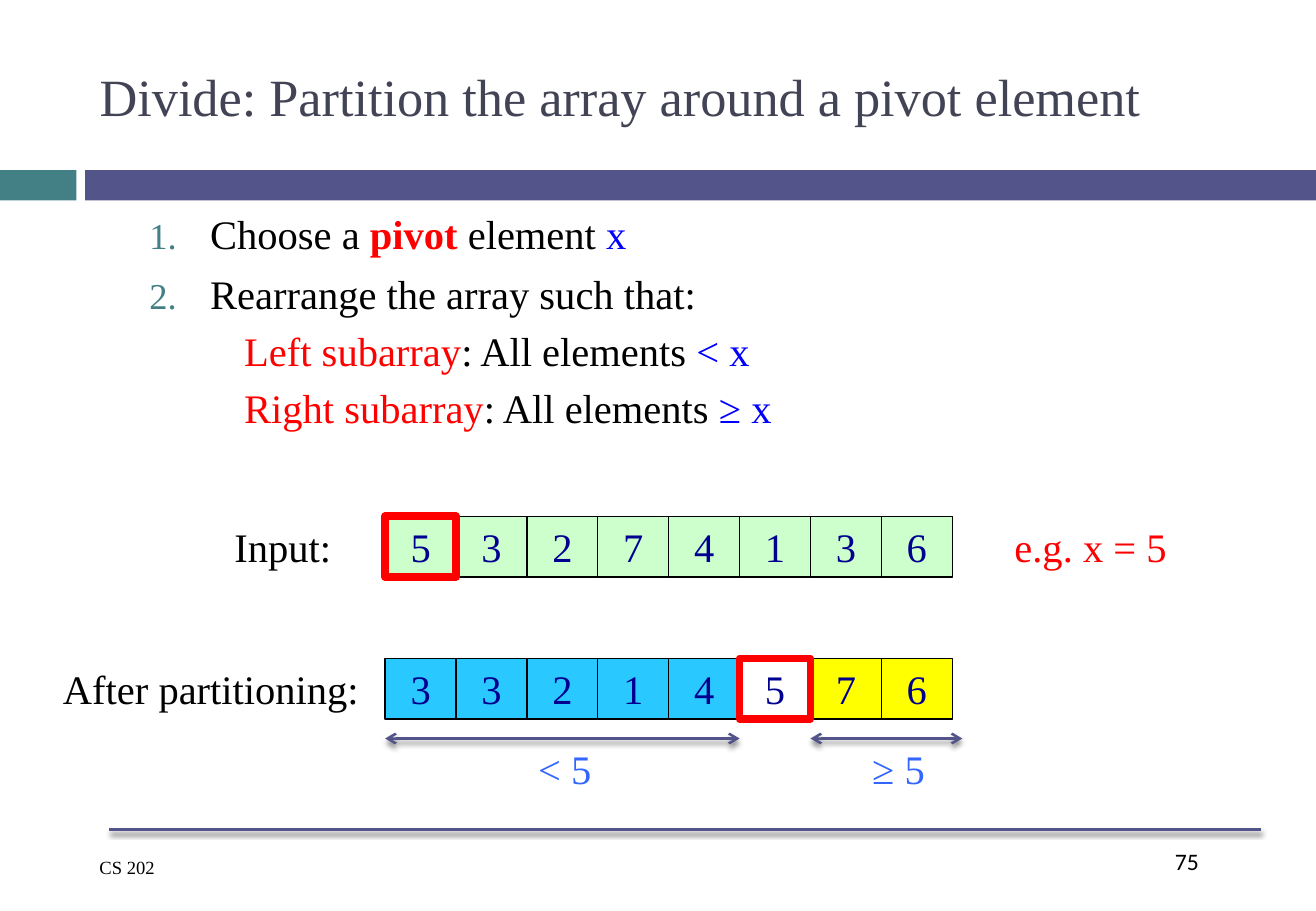
import pptx
import pptx.util
import pptx.dml.color
import pptx.enum.shapes
import pptx.enum.text
import pptx.oxml
import pptx.oxml.ns

Inches = pptx.util.Inches
Pt = pptx.util.Pt
RGBColor = pptx.dml.color.RGBColor
RECT = pptx.enum.shapes.MSO_SHAPE.RECTANGLE
STRAIGHT = pptx.enum.shapes.MSO_CONNECTOR.STRAIGHT
ANCHOR = pptx.enum.text.MSO_ANCHOR
ALIGN = pptx.enum.text.PP_ALIGN
AUTO_SIZE = pptx.enum.text.MSO_AUTO_SIZE

BLACK = RGBColor(0x00, 0x00, 0x00)
WHITE = RGBColor(0xFF, 0xFF, 0xFF)
RED = RGBColor(0xFF, 0x00, 0x00)
BLUE = RGBColor(0x00, 0x00, 0xFF)
RANGE_BLUE = RGBColor(0x33, 0x66, 0xFF)
NAVY = RGBColor(0x00, 0x00, 0x90)
TEAL = RGBColor(0x43, 0x80, 0x86)
PURPLE = RGBColor(0x53, 0x54, 0x8A)
SLATE = RGBColor(0x42, 0x44, 0x56)
GREEN = RGBColor(0xCC, 0xFF, 0xCC)
SKY = RGBColor(0x29, 0xC9, 0xFF)
YELLOW = RGBColor(0xFF, 0xFF, 0x00)

SERIF = "Times New Roman"
CELL_W = 7 / 12
CELL_H = 0.5
NS = pptx.oxml.ns.nsdecls("a")


def add_xml(parent, xml):
    parent.append(pptx.oxml.parse_xml(xml))


def style(p, size, color, name=SERIF):
    p.font.size = Pt(size)
    p.font.name = name
    p.font.color.rgb = color


def place(shape, x, y, w, h):
    shape.left, shape.top = Inches(x), Inches(y)
    shape.width, shape.height = Inches(w), Inches(h)


def add_label(shapes, text, x, y, w, h=0.5, size=24, color=BLACK, name=SERIF):
    tf = shapes.add_textbox(Inches(x), Inches(y), Inches(w), Inches(h)).text_frame
    tf.word_wrap = False
    p = tf.paragraphs[0]
    p.text = text
    style(p, size, color, name)


def add_rect(shapes, x, y, w, h, fill=None, line=None, weight=0.79):
    sp = shapes.add_shape(RECT, Inches(x), Inches(y), Inches(w), Inches(h))
    sp.shadow.inherit = False
    if fill is None:
        sp.fill.background()
    else:
        sp.fill.solid()
        sp.fill.fore_color.rgb = fill
    if line is None:
        sp.line.fill.background()
    else:
        sp.line.color.rgb = line
        sp.line.width = Pt(weight)
    return sp


def add_rule(shapes, x1, x2, y, arrows=False):
    line = shapes.add_connector(STRAIGHT, Inches(x1), Inches(y), Inches(x2), Inches(y))
    line.line.color.rgb = PURPLE
    line.line.width = Pt(1.5)
    if arrows:
        ln = line.line._get_or_add_ln()
        for end in ("headEnd", "tailEnd"):
            add_xml(ln, f'<a:{end} {NS} type="arrow"/>')
    add_xml(
        line._element.spPr,
        f'<a:effectLst {NS}><a:outerShdw blurRad="{Pt(3)}" dist="{Pt(2.4)}" '
        'dir="5400000" rotWithShape="0"><a:srgbClr val="000000">'
        '<a:alpha val="45000"/></a:srgbClr></a:outerShdw></a:effectLst>',
    )


def add_frame(s, w):
    add_rect(s.shapes, 0, 1.4, 0.63, 0.25, TEAL)
    add_rect(s.shapes, 0.7, 1.4, w - 0.7, 0.25, PURPLE)
    add_label(s.shapes, "75", 9.57, 6.92, 0.81, size=14, name="Calibri")
    add_rule(s.shapes, 0.9, 10.38, 6.83)
    add_label(s.shapes, "CS 202", 0.72, 7, 1.99, 0.29, size=11)


def fill_title(sp, x, y, w, h):
    place(sp, x, y, w, h)
    tf = sp.text_frame
    tf.auto_size = AUTO_SIZE.NONE
    tf.vertical_anchor = ANCHOR.MIDDLE
    p = tf.paragraphs[0]
    p.text = "Divide: Partition the array around a pivot element"
    p.alignment = ALIGN.LEFT
    style(p, 31, SLATE)


def fill_steps(sp, x, y, w, h):
    place(sp, x, y, w, h)
    tf = sp.text_frame
    tf.auto_size = AUTO_SIZE.NONE
    steps = [
        (0, [("Choose a ", BLACK), ("pivot", RED), (" element ", BLACK), ("x", BLUE)]),
        (0, [("Rearrange the array such that:", BLACK)]),
        (1, [("Left subarray", RED), (": All elements ", BLACK), ("< x", BLUE)]),
        (1, [("Right subarray", RED), (": All elements ", BLACK), ("≥ x", BLUE)]),
    ]
    for i, (level, runs) in enumerate(steps):
        p = tf.add_paragraph() if i else tf.paragraphs[0]
        p.level = level
        pPr = p._p.get_or_add_pPr()
        pPr.set("marL", str(Inches(0.83 if level else 0.55)))
        pPr.set("indent", str(Inches(0 if level else -0.5)))
        if level:
            add_xml(pPr, f"<a:buNone {NS}/>")
        else:
            add_xml(pPr, f'<a:buClr {NS}><a:srgbClr val="{TEAL}"/></a:buClr>')
            add_xml(pPr, f'<a:buSzPct {NS} val="90000"/>')
            add_xml(pPr, f'<a:buFont {NS} typeface="{SERIF}"/>')
            add_xml(pPr, f'<a:buAutoNum {NS} type="arabicPeriod"/>')
        p.space_before = Pt(5 if level else 7)
        style(p, 24, BLACK)
        for text, color in runs:
            r = p.add_run()
            r.text = text
            r.font.color.rgb = color
            if text == "pivot":
                r.font.bold = True


def add_array(shapes, x, y, values, fills, pivot):
    for i, (value, fill) in enumerate(zip(values, fills)):
        sp = add_rect(shapes, x + i * CELL_W, y, CELL_W, CELL_H, fill, BLACK)
        tf = sp.text_frame
        tf.vertical_anchor = ANCHOR.MIDDLE
        p = tf.paragraphs[0]
        p.text = str(value)
        p.alignment = ALIGN.CENTER
        style(p, 24, NAVY)
    add_rect(shapes, x + pivot * CELL_W, y, CELL_W, CELL_H, None, RED, 4.5)


def add_input(s, x, y):
    add_label(s.shapes, "Input:", x - 1.34, y, 1.01)
    group = s.shapes.add_group_shape()
    add_array(group.shapes, x, y, [5, 3, 2, 7, 4, 1, 3, 6], [GREEN] * 8, 0)
    add_label(s.shapes, "e.g. x = 5", x + 5.08, y, 1.47, color=RED)


def add_result(s, x, y):
    add_label(s.shapes, "After partitioning:", x - 2.75, y, 2.67)
    group = s.shapes.add_group_shape()
    fills = [SKY] * 5 + [WHITE] + [YELLOW] * 2
    add_array(group.shapes, x, y, [3, 3, 2, 1, 4, 5, 7, 6], fills, 5)
    range_y = y + 0.66
    add_rule(group.shapes, x, x + 5 * CELL_W, range_y, True)
    add_rule(group.shapes, x + 6 * CELL_W, x + 4.75, range_y, True)
    add_label(s.shapes, "< 5", x + 1.16, range_y, 0.64, color=RANGE_BLUE)
    add_label(s.shapes, "≥ 5", x + 3.91, range_y, 0.64, color=RANGE_BLUE)


def main():
    prs = pptx.Presentation()
    prs.slide_width, prs.slide_height = Inches(10.83), Inches(7.5)
    s = prs.slides.add_slide(prs.slide_layouts[1])
    add_frame(s, 10.83)
    fill_title(s.shapes.title, 0.72, 0.25, 9.66, 1.08)
    fill_steps(s.placeholders[1], 1.08, 1.67, 8.75, 2.33)
    add_input(s, 3.17, 4.25)
    add_result(s, 3.17, 5.42)
    prs.save("out.pptx")


if __name__ == "__main__":
    main()
